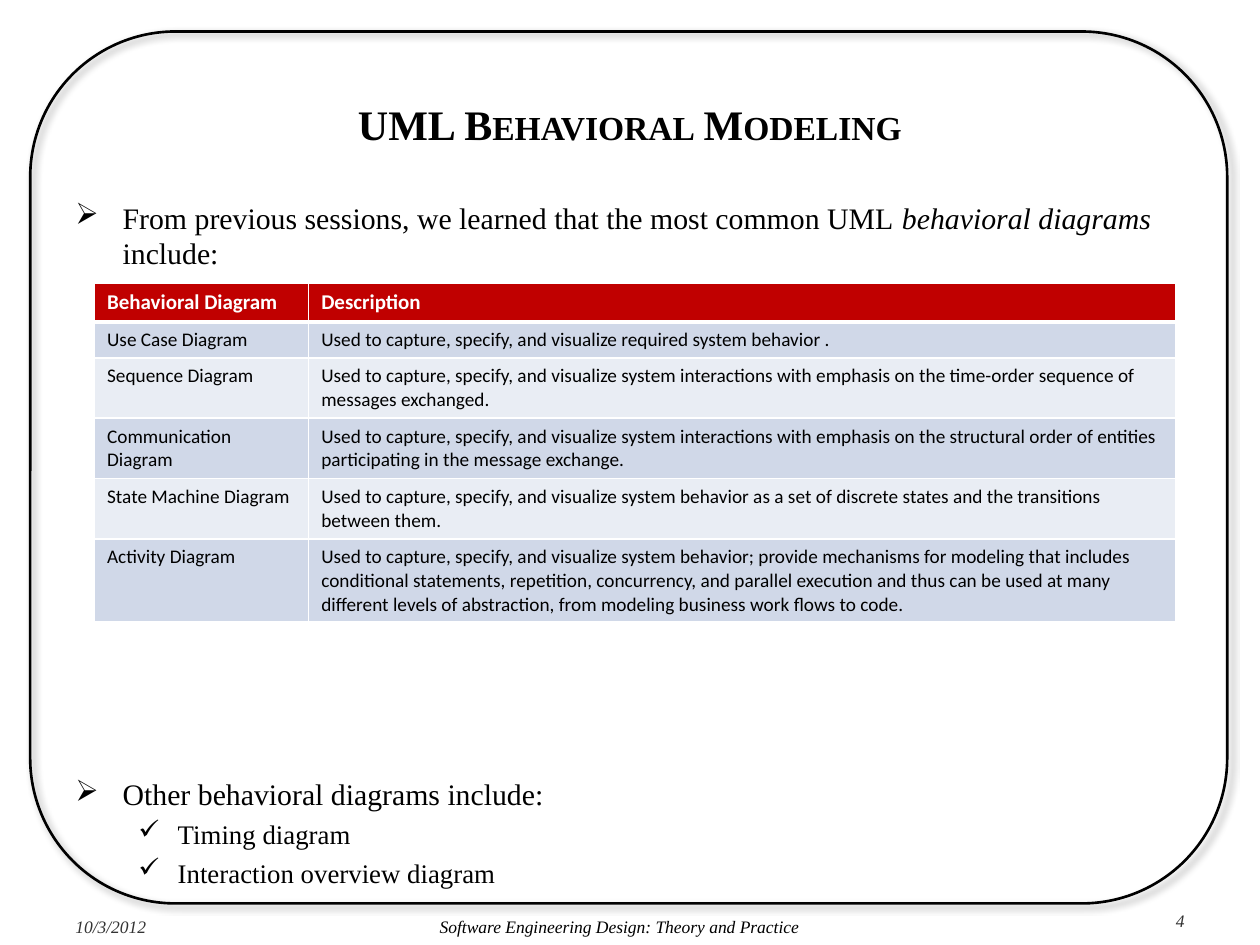
from dataclasses import dataclass

from lxml.etree import SubElement
from pptx import Presentation
from pptx.dml.color import RGBColor
from pptx.enum.shapes import MSO_SHAPE as Shape
from pptx.enum.text import MSO_ANCHOR as Anchor, PP_ALIGN as Align
from pptx.oxml.ns import qn
from pptx.util import Pt


@dataclass(frozen=True)
class Theme:
    serif: str = "Times New Roman"
    sans: str = "Calibri"
    ink: str = "000000"
    muted: str = "333333"
    paper: str = "FFFFFF"
    header: str = "C00000"
    bands: tuple = ("D0D8E8", "E9EDF4")
    title_size: float = 24
    bullet_size: float = 17
    check_size: float = 15.3
    footer_size: float = 10
    heading_size: float = 12
    cell_size: float = 11


THEME = Theme()
COLUMN_WIDTHS = (122.4, 495.4)
ROW_HEIGHTS = (22, 20.5, 34.5, 34.5, 34.5, 47.5)
HEADINGS = ("Behavioral Diagram", "Description")
CAPTURE = "Used to capture, specify, and visualize "
DIAGRAMS = (
    ("Use Case Diagram", CAPTURE + "required system behavior ."),
    ("Sequence Diagram", CAPTURE + "system interactions with emphasis on the "
     "time-order sequence of messages exchanged."),
    ("Communication Diagram", CAPTURE + "system interactions with emphasis on the "
     "structural order of entities participating in the message exchange."),
    ("State Machine Diagram", CAPTURE + "system behavior as a set of discrete "
     "states and the transitions between them."),
    ("Activity Diagram", CAPTURE + "system behavior; provide mechanisms for "
     "modeling that includes conditional statements, repetition, concurrency, "
     "and parallel execution and thus can be used at many different levels of "
     "abstraction, from modeling business work flows to code."),
)


def add_run(paragraph, text, size, face=THEME.serif, color=THEME.ink,
            bold=False, italic=False):
    run = paragraph.add_run()
    run.text = text
    font = run.font
    font.name, font.size = face, Pt(size)
    font.bold, font.italic = bold, italic
    font.color.rgb = RGBColor.from_string(color)
    return run


def add_text_frame(slide, left, top, width, height, anchor=Anchor.TOP):
    box = slide.shapes.add_textbox(Pt(left), Pt(top), Pt(width), Pt(height))
    frame = box.text_frame
    frame.word_wrap = True
    frame.vertical_anchor = anchor
    return frame


def add_border_frame(slide):
    border = slide.shapes.add_shape(
        Shape.ROUNDED_RECTANGLE, Pt(17.28), Pt(18), Pt(684), Pt(498.24))
    border.shadow.inherit = False
    border.fill.background()
    border.line.color.rgb = RGBColor.from_string(THEME.ink)
    border.line.width = Pt(1.5)
    effects = border._element.spPr.find(qn("a:effectLst"))
    shadow = SubElement(effects, qn("a:outerShdw"), blurRad=str(Pt(4)),
                        dist=str(Pt(3)), dir="2700000", rotWithShape="0")
    tint = SubElement(shadow, qn("a:srgbClr"), val=THEME.ink)
    SubElement(tint, qn("a:alpha"), val="40000")


def add_title(slide, text):
    frame = add_text_frame(slide, 36, 39.6, 648, 62.64, Anchor.MIDDLE)
    paragraph = frame.paragraphs[0]
    paragraph.alignment = Align.CENTER
    run = add_run(paragraph, text, THEME.title_size, bold=True)
    run.font._element.set("cap", "small")


def add_bullets(slide, top, height, items):
    frame = add_text_frame(slide, 36, top, 648, height)
    for index, (level, pieces) in enumerate(items):
        paragraph = frame.paragraphs[0] if index == 0 else frame.add_paragraph()
        symbol, margin, hanging, size = (
            ("➢", 27, 27, THEME.bullet_size),
            ("✓", 58.5, 22.5, THEME.check_size))[level]
        paragraph.level = level
        if index:
            paragraph.space_before = Pt(3.5)
        properties = paragraph._p.get_or_add_pPr()
        properties.set("marL", str(Pt(margin)))
        properties.set("indent", str(-Pt(hanging)))
        SubElement(properties, qn("a:buChar"), char=symbol)
        for text, italic in pieces:
            add_run(paragraph, text, size, italic=italic)


def add_cell_border(cell, side, width):
    line = SubElement(cell._tc.get_or_add_tcPr(), qn("a:ln" + side),
                      w=str(Pt(width)))
    fill = SubElement(line, qn("a:solidFill"))
    SubElement(fill, qn("a:srgbClr"), val=THEME.paper)


def fill_cell(cell, text, row):
    heading = row == 0
    widths = {"L": 1, "R": 1, "T": 3 if row == 1 else 1, "B": 3 if heading else 1}
    for side, width in widths.items():
        add_cell_border(cell, side, width)
    cell.fill.solid()
    color = THEME.header if heading else THEME.bands[(row - 1) % 2]
    cell.fill.fore_color.rgb = RGBColor.from_string(color)
    add_run(cell.text_frame.paragraphs[0], text,
            THEME.heading_size if heading else THEME.cell_size, THEME.sans,
            THEME.paper if heading else THEME.ink, bold=heading)


def add_diagram_table(slide):
    rows = (HEADINGS, *DIAGRAMS)
    table = slide.shapes.add_table(
        len(rows), len(HEADINGS), Pt(54), Pt(162),
        Pt(sum(COLUMN_WIDTHS)), Pt(sum(ROW_HEIGHTS))).table
    table.horz_banding = False
    for column, width in zip(table.columns, COLUMN_WIDTHS):
        column.width = Pt(width)
    for index, (texts, height) in enumerate(zip(rows, ROW_HEIGHTS)):
        table.rows[index].height = Pt(height)
        for column, text in enumerate(texts):
            fill_cell(table.cell(index, column), text, index)


def add_footer(slide, left, top, width, height, text, alignment, color, anchor):
    frame = add_text_frame(slide, left, top, width, height, anchor)
    paragraph = frame.paragraphs[0]
    paragraph.alignment = alignment
    add_run(paragraph, text, THEME.footer_size, color=color, italic=True)


def main():
    deck = Presentation()
    deck.slide_width, deck.slide_height = Pt(720), Pt(540)
    slide = deck.slides.add_slide(deck.slide_layouts[6])
    add_border_frame(slide)
    add_title(slide, "UML Behavioral Modeling")
    add_bullets(slide, 110.4, 48, [
        (0, [("From previous sessions, we learned that the most common UML", False),
             (" behavioral diagrams ", True), ("include:", False)])])
    add_bullets(slide, 440, 70, [
        (0, [("Other behavioral diagrams include:", False)]),
        (1, [("Timing diagram", False)]),
        (1, [("Interaction overview diagram", False)])])
    add_footer(slide, 36, 518.4, 77.76, 21.6, "10/3/2012",
               Align.LEFT, THEME.muted, Anchor.MIDDLE)
    add_footer(slide, 113.76, 518.4, 480.24, 21.6,
               "Software Engineering Design: Theory and Practice",
               Align.CENTER, THEME.ink, Anchor.MIDDLE)
    add_footer(slide, 594, 516.24, 90, 23.76, "4",
               Align.RIGHT, THEME.muted, Anchor.TOP)
    add_diagram_table(slide)
    deck.save("out.pptx")


if __name__ == "__main__":
    main()
